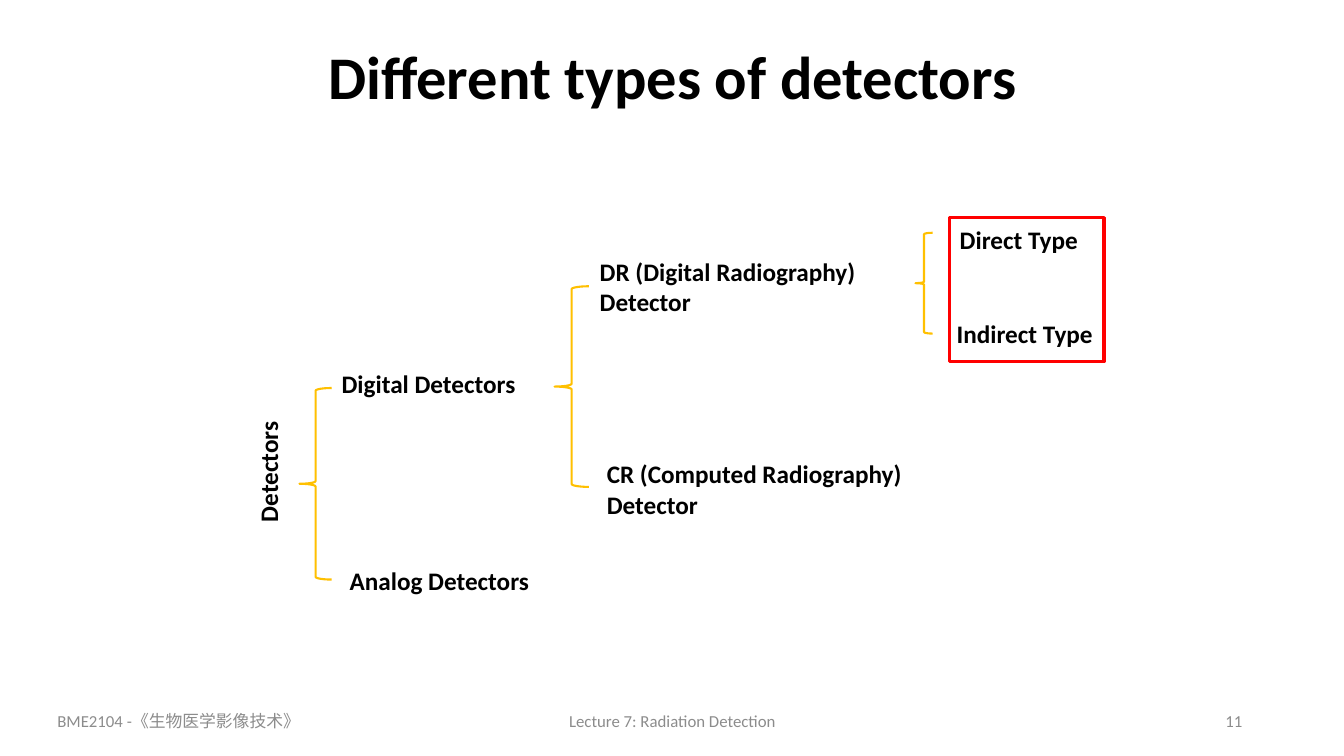
from dataclasses import dataclass

from pptx import Presentation
from pptx.dml.color import RGBColor as RGB
from pptx.enum.shapes import MSO_SHAPE as Shape
from pptx.enum.text import MSO_ANCHOR as Anchor, MSO_AUTO_SIZE as AutoSize, PP_ALIGN as Align
from pptx.util import Inches, Pt


@dataclass(frozen=True)
class Theme:
    font: str = "Calibri"
    text: RGB = RGB(0, 0, 0)
    muted: RGB = RGB(0x8C, 0x8C, 0x8C)
    brace: RGB = RGB(0xFF, 0xC0, 0x00)
    highlight: RGB = RGB(0xFF, 0, 0)
    title_size: float = 43.2
    label_size: float = 18
    footer_size: float = 12


class SlideBuilder:
    """Draws themed elements on one slide."""

    def __init__(self, slide, theme):
        self.slide = slide
        self.theme = theme

    def set_text(self, frame, text, size, color, bold, align):
        paragraph = frame.paragraphs[0]
        paragraph.alignment = align
        run = paragraph.add_run()
        run.text = text
        font = run.font
        font.name, font.size, font.bold = self.theme.font, Pt(size), bold
        font.color.rgb = color
        return paragraph

    def title(self, text, left, top, width, height):
        shape = self.slide.shapes.title
        shape.left, shape.top = Inches(left), Inches(top)
        shape.width, shape.height = Inches(width), Inches(height)
        frame = shape.text_frame
        frame.vertical_anchor = Anchor.MIDDLE
        frame.auto_size = AutoSize.NONE
        paragraph = self.set_text(frame, text, self.theme.title_size, self.theme.text, True, Align.CENTER)
        paragraph.line_spacing = 0.9

    def text_box(self, left, top, width, height):
        return self.slide.shapes.add_textbox(Inches(left), Inches(top), Inches(width), Inches(height))

    def footer(self, text, left, width, align):
        frame = self.text_box(left, 6.95, width, 0.4).text_frame
        frame.word_wrap = True
        frame.vertical_anchor = Anchor.MIDDLE
        self.set_text(frame, text, self.theme.footer_size, self.theme.muted, False, align)

    def label(self, text, left, top, width, height=0.4, wrap=False):
        shape = self.text_box(left, top, width, height)
        frame = shape.text_frame
        frame.word_wrap = wrap
        frame.auto_size = AutoSize.SHAPE_TO_FIT_TEXT
        self.set_text(frame, text, self.theme.label_size, self.theme.text, True, Align.LEFT)
        return shape

    def upward_label(self, text, left, top, width, height):
        shape = self.label(text, left, top, width, height)
        shape.rotation = 180
        shape.text_frame._txBody.bodyPr.set("vert", "eaVert")

    def outline(self, kind, left, top, width, height, color, weight):
        shape = self.slide.shapes.add_shape(kind, Inches(left), Inches(top), Inches(width), Inches(height))
        shape.shadow.inherit = False
        shape.fill.background()
        shape.line.color.rgb = color
        shape.line.width = Pt(weight)

    def brace(self, left, top, width, height):
        self.outline(Shape.LEFT_BRACE, left, top, width, height, self.theme.brace, 1.5)

    def highlight(self, left, top, width, height):
        self.outline(Shape.RECTANGLE, left, top, width, height, self.theme.highlight, 2.25)


def main():
    presentation = Presentation()
    presentation.slide_width, presentation.slide_height = Inches(13.33), Inches(7.5)
    slide = presentation.slides.add_slide(presentation.slide_layouts[5])
    builder = SlideBuilder(slide, Theme())

    builder.title("Different types of detectors", 0.92, 0.4, 11.5, 0.78)
    builder.footer("BME2104 -《生物医学影像技术》", 0.47, 3.65, Align.LEFT)
    builder.footer("Lecture 7: Radiation Detection", 4.42, 4.5, Align.CENTER)
    builder.footer("11", 9.42, 3, Align.RIGHT)

    builder.upward_label("Detectors", 2.46, 4.17, 0.5, 1.11)
    builder.brace(2.97, 3.85, 0.32, 1.9)
    builder.label("Digital Detectors", 3.29, 3.6, 1.94)
    builder.label("Analog Detectors", 3.37, 5.56, 1.99)

    builder.brace(5.5, 2.84, 0.34, 1.99)
    builder.label("CR (Computed Radiography) Detector", 5.92, 4.5, 3.6, 0.71, wrap=True)
    builder.label("DR (Digital Radiography) Detector", 5.85, 2.49, 3.17, 0.71, wrap=True)

    builder.brace(9.08, 2.31, 0.17, 1)
    builder.label("Direct Type", 9.42, 2.18, 1.38)
    builder.label("Indirect Type", 9.39, 3.11, 1.56)
    builder.highlight(9.42, 2.16, 1.53, 1.43)

    presentation.save("out.pptx")


if __name__ == "__main__":
    main()
